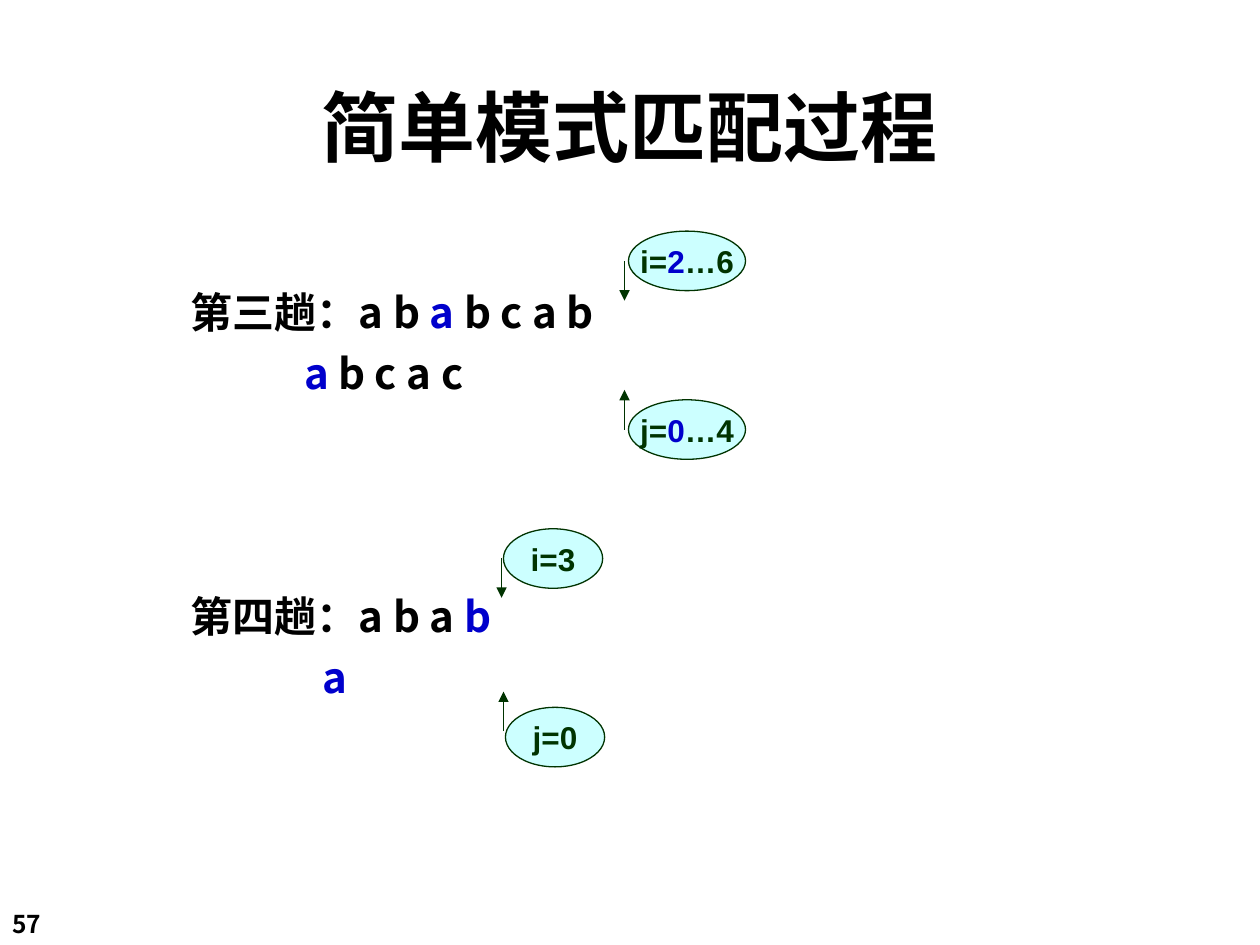
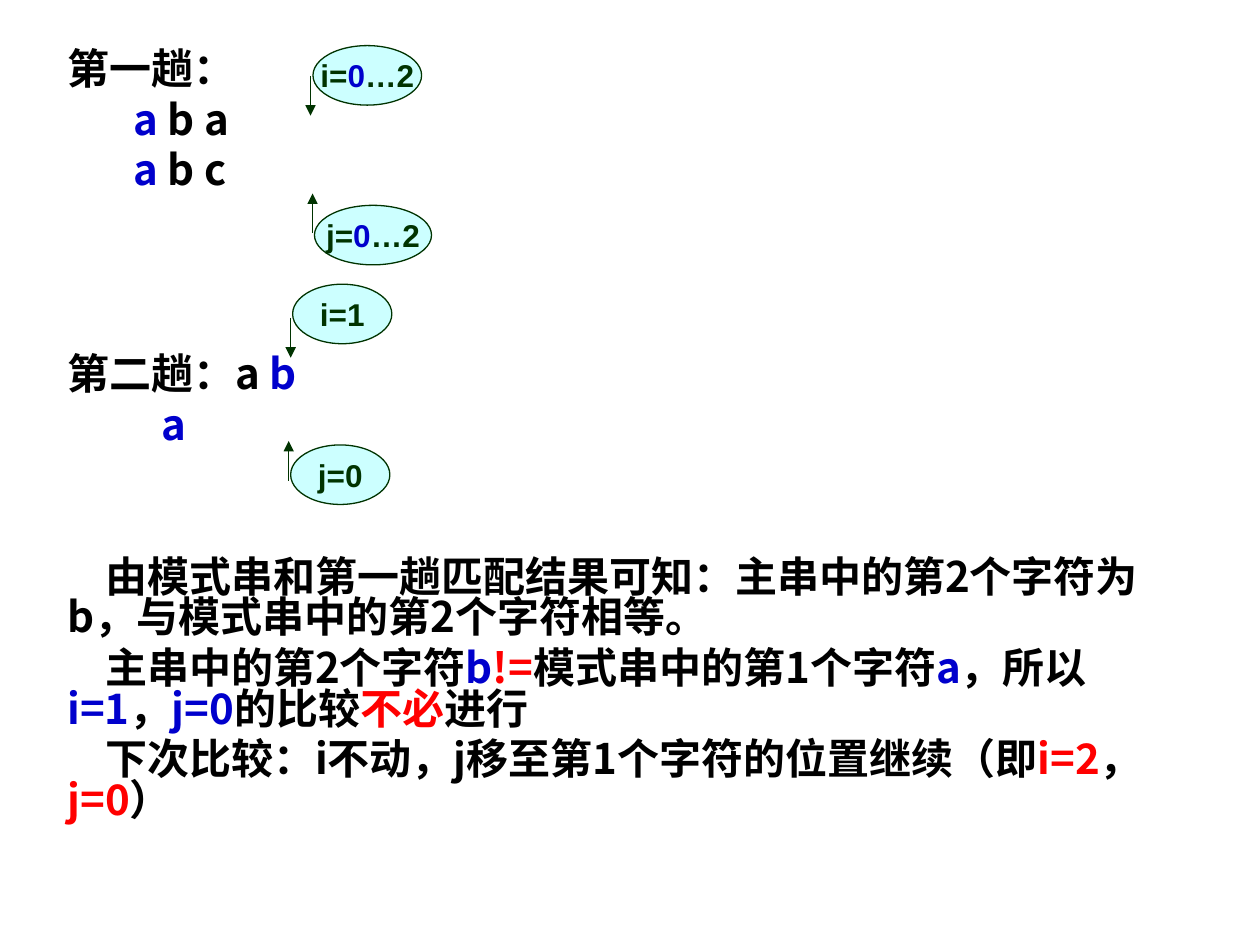
from dataclasses import dataclass
from typing import NamedTuple

import pptx
import pptx.dml.color
import pptx.enum.shapes
import pptx.enum.text
import pptx.oxml
import pptx.oxml.ns
import pptx.util

Cm = pptx.util.Cm
Pt = pptx.util.Pt
qn = pptx.oxml.ns.qn

COLORS = {
    "text": "000000",
    "mark": "0000CC",
    "alert": "FF0000",
    "outline": "003300",
    "bubble": "CCFFFF",
}
BODY_FONT = "Noto Sans CJK SC"
LABEL_FONT = "Arial"
BODY_SIZE = 24
PARAGRAPH_GAP = 6
SPACE_WIDTH = 0.19
BUBBLE_HEIGHT = 1.2
ARROW_LENGTH = 0.8


class Piece(NamedTuple):
    text: str
    color: str = "text"


@dataclass
class Line:
    pieces: list[Piece]
    indent: int = 0
    skipped: int = 0


@dataclass
class Pointer:
    name: str
    start: str
    end: str
    left: float
    top: float
    width: float
    arrow_left: float
    arrow_top: float


@dataclass
class Body:
    left: float
    top: float
    width: float
    height: float
    line_height: float
    lines: list[Line]


def rgb(name: str) -> pptx.dml.color.RGBColor:
    return pptx.dml.color.RGBColor.from_string(COLORS[name])


def format_run(run, font_name: str, size: float, color: str) -> None:
    run.font.name = font_name
    run.font.size = Pt(size)
    run.font.bold = True
    run.font.color.rgb = rgb(color)
    east_asian = pptx.oxml.parse_xml(
        '<a:ea xmlns:a="http://schemas.openxmlformats.org/drawingml/2006/main"/>'
    )
    east_asian.set("typeface", font_name)
    run.font._element.find(qn("a:latin")).addnext(east_asian)


def write_pieces(paragraph, pieces: list[Piece], font_name: str, size: float) -> None:
    for piece in pieces:
        run = paragraph.add_run()
        run.text = piece.text
        format_run(run, font_name, size, piece.color)


def add_title(slide, text: str) -> None:
    title = slide.shapes.title
    title.left, title.top, title.width, title.height = Cm(1.06), Cm(1.27), Cm(23.28), Cm(2.54)
    title.text_frame.text = text
    title.text_frame.vertical_anchor = pptx.enum.text.MSO_ANCHOR.MIDDLE
    paragraph = title.text_frame.paragraphs[0]
    paragraph.alignment = pptx.enum.text.PP_ALIGN.CENTER
    format_run(paragraph.runs[0], BODY_FONT, 44, "text")


def add_page_number(slide, number: int) -> None:
    shape = slide.shapes.add_textbox(Cm(0), Cm(18.2), Cm(2.1), Cm(0.86))
    shape.text_frame.text = str(number)
    shape.text_frame.vertical_anchor = pptx.enum.text.MSO_ANCHOR.MIDDLE
    format_run(shape.text_frame.paragraphs[0].runs[0], BODY_FONT, 14, "text")


def add_body(slide, body: Body) -> None:
    shape = slide.shapes.add_textbox(
        Cm(body.left), Cm(body.top), Cm(body.width), Cm(body.height)
    )
    text_frame = shape.text_frame
    text_frame.word_wrap = True
    for index, line in enumerate(body.lines):
        paragraph = text_frame.add_paragraph() if index else text_frame.paragraphs[0]
        paragraph.line_spacing = Pt(body.line_height)
        if index:
            skipped_height = line.skipped * (body.line_height + PARAGRAPH_GAP)
            paragraph.space_before = Pt(PARAGRAPH_GAP + skipped_height)
        properties = paragraph._p.get_or_add_pPr()
        properties.set("marL", "0")
        properties.set("indent", str(Cm(SPACE_WIDTH * line.indent)))
        write_pieces(paragraph, line.pieces, BODY_FONT, BODY_SIZE)


def add_arrow(slide, left: float, start: float, end: float) -> None:
    connector = slide.shapes.add_connector(
        pptx.enum.shapes.MSO_CONNECTOR.STRAIGHT, Cm(left), Cm(start), Cm(left), Cm(end)
    )
    connector.line.color.rgb = rgb("outline")
    connector.line.width = Pt(0.75)
    line = connector.line._get_or_add_ln()
    line.append(line.makeelement(qn("a:tailEnd"), {"type": "triangle"}))
    properties = connector._element.spPr
    properties.append(properties.makeelement(qn("a:effectLst"), {}))


def add_pointer(slide, pointer: Pointer) -> None:
    direction = 1 if pointer.name == "i" else -1
    add_arrow(
        slide,
        pointer.arrow_left,
        pointer.arrow_top,
        pointer.arrow_top + direction * ARROW_LENGTH,
    )
    bubble = slide.shapes.add_shape(
        pptx.enum.shapes.MSO_SHAPE.OVAL,
        Cm(pointer.left), Cm(pointer.top), Cm(pointer.width), Cm(BUBBLE_HEIGHT),
    )
    bubble.shadow.inherit = False
    bubble.fill.solid()
    bubble.fill.fore_color.rgb = rgb("bubble")
    bubble.line.color.rgb = rgb("outline")
    bubble.line.width = Pt(0.75)
    text_frame = bubble.text_frame
    text_frame.word_wrap = False
    text_frame.vertical_anchor = pptx.enum.text.MSO_ANCHOR.MIDDLE
    paragraph = text_frame.paragraphs[0]
    paragraph.alignment = pptx.enum.text.PP_ALIGN.CENTER
    pieces = [Piece(f"{pointer.name}={pointer.start}", "outline")]
    if pointer.end:
        pieces = [
            Piece(f"{pointer.name}=", "outline"),
            Piece(pointer.start, "mark"),
            Piece(f"…{pointer.end}", "outline"),
        ]
    write_pieces(paragraph, pieces, LABEL_FONT, 18)


LATER_PASSES = Body(3.6, 5.65, 11.2, 12.6, 28.8, [
    Line([Piece("第三趟：a b "), Piece("a", "mark"), Piece(" b c a b")]),
    Line([Piece("a", "mark"), Piece(" b c a c")], indent=12),
    Line([Piece("第四趟：a b a "), Piece("b", "mark")], skipped=3),
    Line([Piece("a", "mark")], indent=14),
])
LATER_POINTERS = [
    Pointer("i", "2", "6", 12.67, 4.66, 2.36, 12.59, 5.26),
    Pointer("j", "0", "4", 12.67, 8.06, 2.36, 12.59, 8.66),
    Pointer("i", "3", "", 10.15, 10.66, 2, 10.11, 11.25),
    Pointer("j", "0", "", 10.19, 14.26, 2, 10.15, 14.74),
]

FIRST_PASSES = Body(1.11, 0.93, 22.81, 16.79, 23.04, [
    Line([Piece("第一趟：")]),
    Line([Piece("a", "mark"), Piece(" b a")], indent=7),
    Line([Piece("a", "mark"), Piece(" b c")], indent=7),
    Line([Piece("第二趟：a "), Piece("b", "mark")], skipped=3),
    Line([Piece("a", "mark")], indent=10),
    Line(
        [Piece("由模式串和第一趟匹配结果可知：主串中的第2个字符为b，与模式串中的第2个字符相等。")],
        indent=4,
        skipped=2,
    ),
    Line([
        Piece("主串中的第2个字符"), Piece("b", "mark"), Piece("!=", "alert"),
        Piece("模式串中的第1个字符"), Piece("a", "mark"), Piece("，所以"),
        Piece("i=1", "mark"), Piece("，"), Piece("j=0", "mark"),
        Piece("的比较"), Piece("不必", "alert"), Piece("进行"),
    ], indent=4),
    Line([
        Piece("下次比较：i不动，j移至第1个字符的位置继续（即"),
        Piece("i=2", "alert"), Piece("，"), Piece("j=0", "alert"), Piece("）"),
    ], indent=4),
])
FIRST_POINTERS = [
    Pointer("i", "0", "2", 6.31, 0.92, 2.19, 6.26, 1.53),
    Pointer("j", "0", "2", 6.34, 4.14, 2.36, 6.3, 4.7),
    Pointer("i", "1", "", 5.9, 5.73, 2, 5.86, 6.41),
    Pointer("j", "0", "", 5.86, 8.97, 2, 5.82, 9.69),
]


def add_passes(slide, body: Body, pointers: list[Pointer]) -> None:
    add_body(slide, body)
    for pointer in pointers:
        add_pointer(slide, pointer)


def main() -> None:
    presentation = pptx.Presentation()
    presentation.slide_width = Cm(25.4)
    presentation.slide_height = Cm(19.05)
    title_only = presentation.slide_layouts.get_by_name("Title Only")
    blank = presentation.slide_layouts.get_by_name("Blank")

    slide = presentation.slides.add_slide(title_only)
    add_title(slide, "简单模式匹配过程")
    add_page_number(slide, 57)
    add_passes(slide, LATER_PASSES, LATER_POINTERS)

    slide = presentation.slides.add_slide(blank)
    add_passes(slide, FIRST_PASSES, FIRST_POINTERS)

    presentation.save("out.pptx")


if __name__ == "__main__":
    main()
